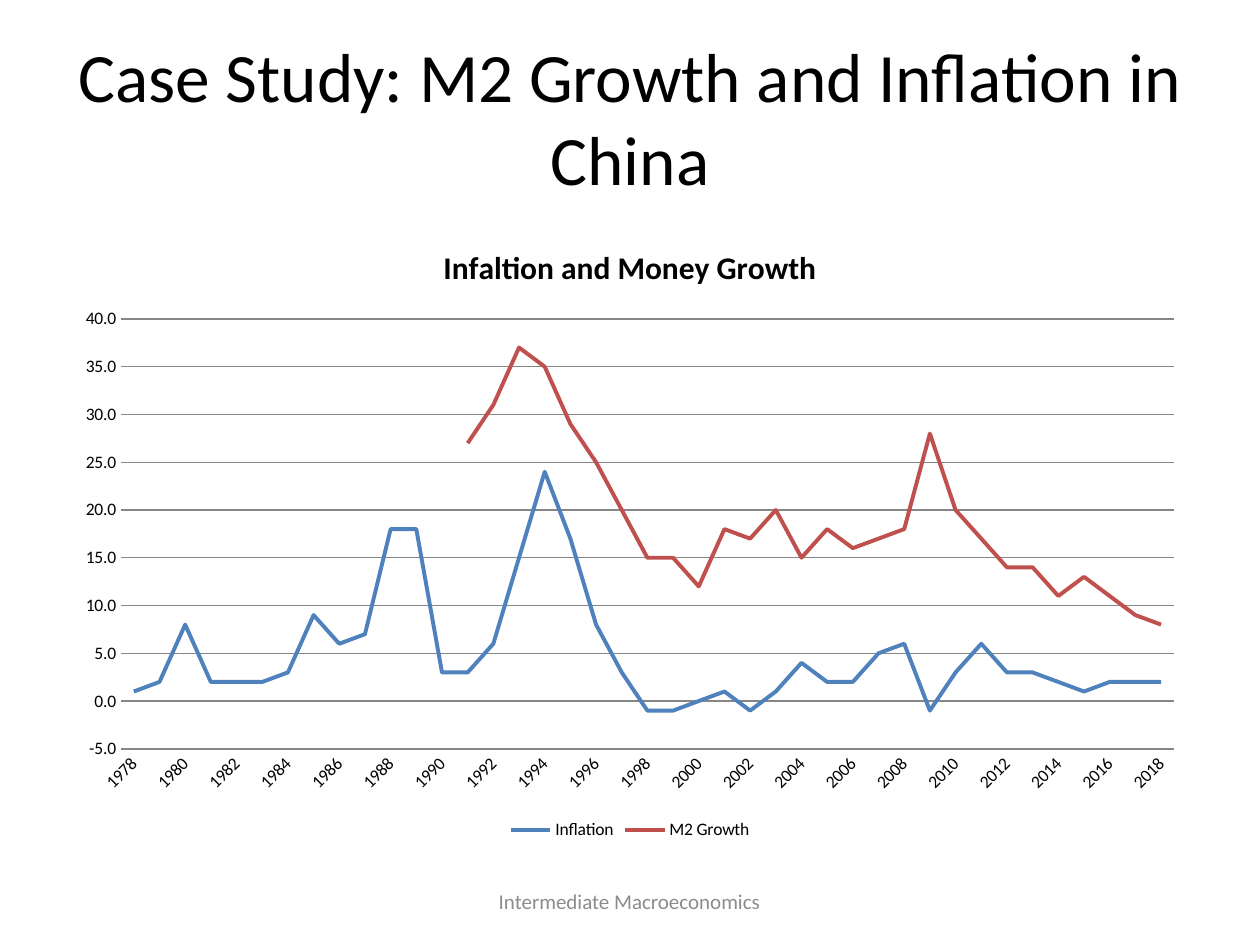
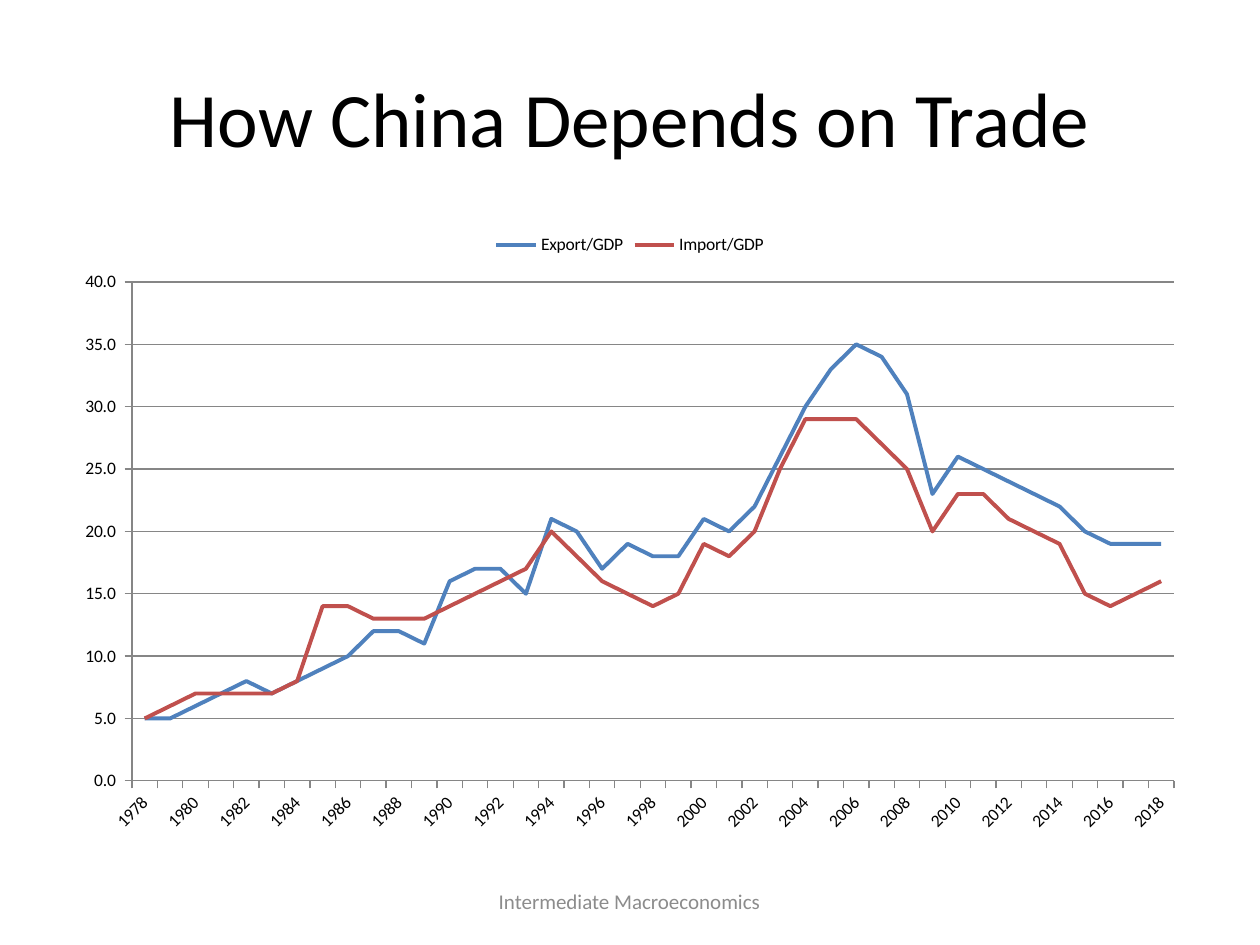
from lxml import etree
from pptx import Presentation
from pptx.chart.data import CategoryChartData as Data
from pptx.dml.color import RGBColor as Rgb
from pptx.enum.chart import XL_AXIS_CROSSES as Cross
from pptx.enum.chart import XL_CHART_TYPE as Kind, XL_LEGEND_POSITION as Place
from pptx.enum.chart import XL_TICK_LABEL_POSITION as Label, XL_TICK_MARK as Tick
from pptx.enum.text import MSO_ANCHOR as Anchor, PP_ALIGN as Align
from pptx.oxml.ns import qn
from pptx.util import Pt

PX = 914400 / 126
FONT = "Calibri"
HUES = {"text": "000000", "foot": "8C8C8C", "grid": "868686",
        "blue": "4F81BD", "red": "C0504D"}
FRAME = (63, 221, 1134, 624)
YEARS = [str(year) for year in range(1978, 2019)]

slides = [
    {
        "title": "Case Study: M2 Growth and Inflation in China", "size": 39.6,
        "head": "Infaltion and Money Growth",
        "plot": (121, 319, 1053, 430), "legend": Place.BOTTOM,
        "tick": Tick.NONE, "format": "0.0", "low": -5,
        "series": {
            "Inflation": [
                1, 2, 8, 2, 2, 2, 3, 9, 6, 7, 18, 18, 3, 3, 6, 15, 24, 17, 8, 3, -1,
                -1, 0, 1, -1, 1, 4, 2, 2, 5, 6, -1, 3, 6, 3, 3, 2, 1, 2, 2, 2],
            "M2 Growth": [None] * 13 + [
                27, 31, 37, 35, 29, 25, 20, 15, 15, 12, 18, 17, 20, 15, 18, 16, 17,
                18, 28, 20, 17, 14, 14, 11, 13, 11, 9, 8],
        },
    },
    {
        "title": "How China Depends on Trade", "size": 44,
        "head": None,
        "plot": (132, 282, 1042, 499), "legend": Place.TOP,
        "tick": Tick.OUTSIDE, "format": "0.0_ ", "low": 0,
        "series": {
            "Export/GDP": [
                5, 5, 6, 7, 8, 7, 8, 9, 10, 12, 12, 11, 16, 17, 17, 15, 21, 20, 17, 19,
                18, 18, 21, 20, 22, 26, 30, 33, 35, 34, 31, 23, 26, 25, 24, 23, 22, 20,
                19, 19, 19],
            "Import/GDP": [
                5, 6, 7, 7, 7, 7, 8, 14, 14, 13, 13, 13, 14, 15, 16, 17, 20, 18, 16, 15,
                14, 15, 19, 18, 20, 25, 29, 29, 29, 27, 25, 20, 23, 23, 21, 20, 19, 15,
                14, 15, 16],
        },
    },
]


def style(font, size, hue="text", bold=False):
    font.name, font.size, font.bold = FONT, Pt(size), bold
    font.color.rgb = Rgb.from_string(HUES[hue])


def write(slide, box, text, size, hue="text"):
    """Add a centred text box; box is left, top, width, height in px."""
    frame = slide.shapes.add_textbox(*[int(n * PX) for n in box]).text_frame
    frame.word_wrap = True
    frame.vertical_anchor = Anchor.MIDDLE
    frame.text = text
    line = frame.paragraphs[0]
    line.alignment = Align.CENTER
    style(line.runs[0].font, size, hue)


deck = Presentation()
deck.slide_width, deck.slide_height = int(1260 * PX), int(945 * PX)

for page in slides:
    slide = deck.slides.add_slide(deck.slide_layouts[6])
    write(slide, (63, 38, 1134, 157), page["title"], page["size"])
    write(slide, (430, 876, 399, 50), "Intermediate Macroeconomics", 12, "foot")

    data = Data(number_format="0.0")
    data.categories = YEARS
    for name, vals in page["series"].items():
        data.add_series(name, vals)
    box = [int(n * PX) for n in FRAME]
    chart = slide.shapes.add_chart(Kind.LINE, *box, data).chart
    style(chart.font, 10)

    chart.has_title = bool(page["head"])
    if page["head"]:
        title = chart.chart_title.text_frame
        title.text = page["head"]
        style(title.paragraphs[0].runs[0].font, 18, bold=True)
    chart.has_legend = True
    chart.legend.position = page["legend"]
    chart.legend.include_in_layout = False

    for line, hue in zip(chart.plots[0].series, ("blue", "red")):
        line.smooth = False
        line.format.line.width = Pt(2.25)
        line.format.line.color.rgb = Rgb.from_string(HUES[hue])

    cats, vals = chart.category_axis, chart.value_axis
    vals.minimum_scale, vals.maximum_scale, vals.major_unit = page["low"], 40, 5
    vals.has_major_gridlines = True
    vals.crosses = Cross.MINIMUM
    for axis, code in ((cats, "General"), (vals, page["format"])):
        axis.major_tick_mark, axis.minor_tick_mark = page["tick"], Tick.NONE
        axis.tick_labels.number_format = code
        axis.tick_labels.number_format_is_linked = False
    for edge in (cats.format.line, vals.format.line, vals.major_gridlines.format.line):
        edge.width = Pt(0.75)
        edge.color.rgb = Rgb.from_string(HUES["grid"])
    if page["tick"] == Tick.NONE:
        vals.format.line.fill.background()

    # Every second year, slanted below the plot
    cats.tick_label_position = Label.NEXT_TO_AXIS
    style(cats.tick_labels.font, 10)
    root = chart.element
    turn = root.find(".//" + qn("c:catAx")).find(qn("c:txPr")).find(qn("a:bodyPr"))
    turn.set("rot", "-2700000")
    skip = etree.Element(qn("c:tickLblSkip"), val="2")
    root.find(".//" + qn("c:lblOffset")).addnext(skip)

    # Fix the inner plot area as shares of the chart frame
    area = root.find(".//" + qn("c:plotArea"))
    for old in area.findall(qn("c:layout")):
        area.remove(old)
    layout = etree.Element(qn("c:layout"))
    area.insert(0, layout)
    manual = etree.SubElement(layout, qn("c:manualLayout"))
    left, top, wide, high = page["plot"]
    shares = {"x": (left - FRAME[0]) / FRAME[2], "y": (top - FRAME[1]) / FRAME[3],
              "w": wide / FRAME[2], "h": high / FRAME[3]}
    rules = {"layoutTarget": "inner", "xMode": "edge", "yMode": "edge", **shares}
    for tag, val in rules.items():
        etree.SubElement(manual, qn("c:" + tag), val=str(val))

deck.save("out.pptx")
